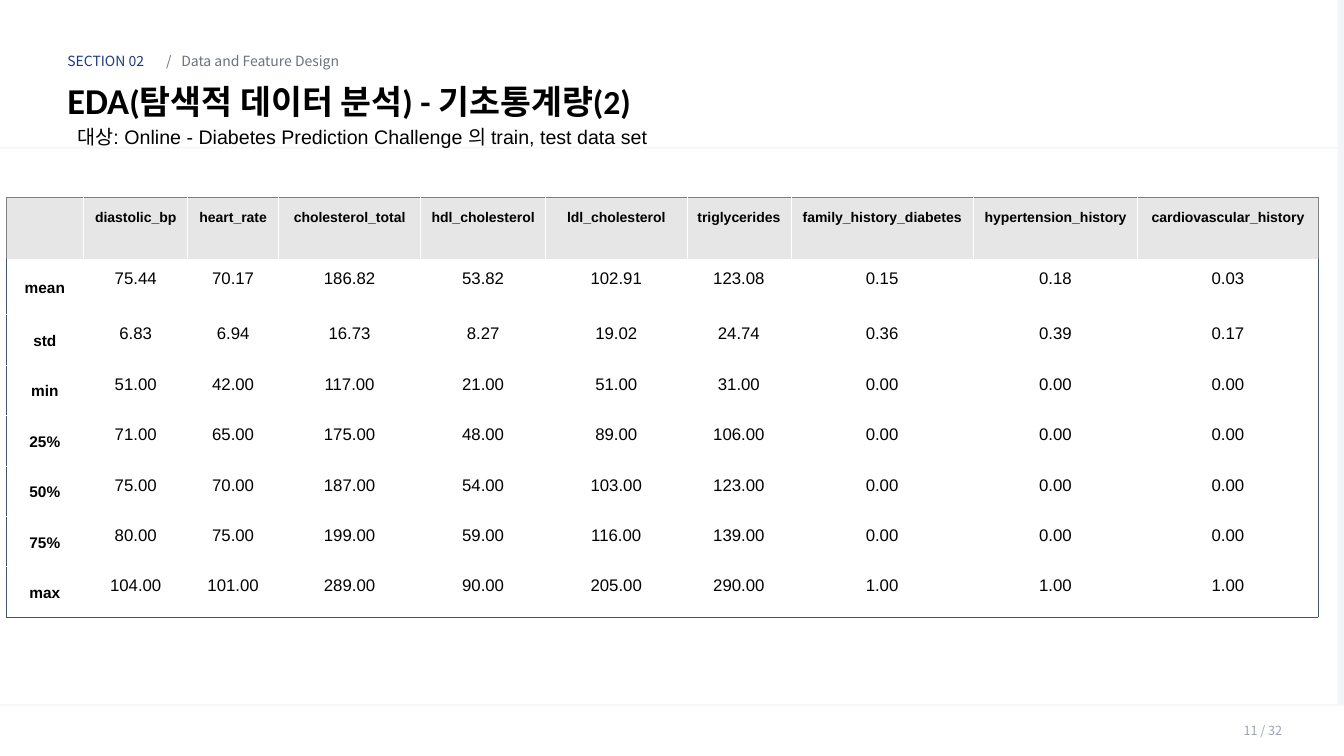
from pptx import Presentation
from pptx import util as u
from pptx.dml.color import RGBColor
from pptx.enum import shapes, text
from pptx.oxml import parse_xml
from pptx.oxml.ns import nsdecls

Cm, Pt = u.Cm, u.Pt
PAGE_WIDTH, PAGE_HEIGHT = 33.87, 19.05
WHITE, BLACK, PALE, MUTED = "FFFFFF", "000000", "F3F4F6", "6B7280"
HEADER_FILL, HEADER_EDGE, BODY_EDGE = "E7E6E6", "808080", "44546A"
SANS = "Noto Sans CJK KR"

COLUMNS = [  # name, width, then mean, std, min, 25%, 50%, 75%, max
    ("diastolic_bp", 2.62, "75.44 6.83 51.00 71.00 75.00 80.00 104.00"),
    ("heart_rate", 2.29, "70.17 6.94 42.00 65.00 70.00 75.00 101.00"),
    ("cholesterol_total", 3.58, "186.82 16.73 117.00 175.00 187.00 199.00 289.00"),
    ("hdl_cholesterol", 3.15, "53.82 8.27 21.00 48.00 54.00 59.00 90.00"),
    ("ldl_cholesterol", 3.56, "102.91 19.02 51.00 89.00 103.00 116.00 205.00"),
    ("triglycerides", 2.62, "123.08 24.74 31.00 106.00 123.00 139.00 290.00"),
    ("family_history_diabetes", 4.6, "0.15 0.36 0.00 0.00 0.00 0.00 1.00"),
    ("hypertension_history", 4.14, "0.18 0.39 0.00 0.00 0.00 0.00 1.00"),
    ("cardiovascular_history", 4.55, "0.03 0.17 0.00 0.00 0.00 0.00 1.00"),
]
STATISTICS = ["mean", "std", "min", "25%", "50%", "75%", "max"]
LABEL_WIDTH = 1.96
ROW_HEIGHTS = [1.55, 1.4] + [1.27] * 6


def colour(value):
    return RGBColor.from_string(value)


def add_block(page, box, fill):
    block = page.shapes.add_shape(shapes.MSO_SHAPE.RECTANGLE, *map(Cm, box))
    block.shadow.inherit = False
    block.fill.solid()
    block.fill.fore_color.rgb = colour(fill)
    block.line.fill.background()


def add_span(para, words, size, font=SANS, ink=BLACK, bold=False):
    span = para.add_run()
    span.text = words
    span.font.size = Pt(size)
    span.font.name = font
    span.font.bold = bold
    span.font.color.rgb = colour(ink)


def add_label(page, box, *spans, inset=0, anchor=text.MSO_ANCHOR.MIDDLE):
    """Add one line of text; each span is (words, format)."""
    frame = page.shapes.add_textbox(*map(Cm, box)).text_frame
    frame.word_wrap = True
    frame.vertical_anchor = anchor
    frame.margin_left = frame.margin_right = Cm(inset)
    frame.margin_top = frame.margin_bottom = Cm(inset)
    for words, style in spans:
        add_span(frame.paragraphs[0], words, **style)


def add_background(page, box):
    left, top, width, height = box
    add_block(page, box, PALE)
    add_block(page, (left, top, width - 0.16, height), WHITE)


def add_heading(page, box):
    left, top, width, height = box
    margin = left + 1.7
    add_block(page, (left, top + height, width, 0.03), PALE)
    crumbs = [(0, 2.59, "SECTION 02", "1E3A8A"), (2.49, 0.46, "/", MUTED),
              (2.87, 4.65, "Data and Feature Design", MUTED)]
    for offset, extent, words, ink in crumbs:
        add_label(page, (margin + offset, top + 1.27, extent, 0.53),
                  (words, {"size": 10, "ink": ink}))
    title = {"font": "Calibri", "bold": True}
    add_label(page, (margin, top + 1.85, 19.69, 1.35),
              ("EDA", {"size": 26, **title}),
              ("(탐색적 데이터 분석) - 기초통계량(2)", {"size": 24, **title}))
    add_label(page, (margin, top + 2.9, 24.59, 0.97),
              ("대상: Online - Diabetes Prediction Challenge 의 train, test data set",
               {"size": 14, "font": "Arial"}),
              inset=0.25, anchor=text.MSO_ANCHOR.TOP)


def add_footer(page, box):
    left, top, width, height = box
    add_block(page, box, WHITE)
    add_block(page, (left, top, width, 0.03), PALE)
    add_label(page, (left + width - 2.53, top + 0.43, 1.1, 0.46),
              ("11 / 32", {"size": 9, "ink": "9CA3AF"}))


def set_borders(cell, edges):
    """Draw the four cell borders; edges maps L, R, T and B to colours."""
    properties = cell._tc.get_or_add_tcPr()
    for side, ink in edges.items():
        properties.append(parse_xml(
            f'<a:ln{side} {nsdecls("a")} w="{Pt(0.47)}"><a:solidFill>'
            f'<a:srgbClr val="{ink}"/></a:solidFill></a:ln{side}>'))


def fill_cell(cell, words, is_header, is_label):
    cell.fill.solid()
    cell.fill.fore_color.rgb = colour(HEADER_FILL if is_header else WHITE)
    cell.margin_left = cell.margin_right = Cm(0.25)
    cell.margin_top = cell.margin_bottom = Cm(0.25)
    if is_label and not is_header:
        cell.vertical_anchor = text.MSO_ANCHOR.MIDDLE
    if not words:
        return
    para = cell.text_frame.paragraphs[0]
    para.alignment = text.PP_ALIGN.CENTER
    bold = is_header or is_label
    if bold:
        para.line_spacing = 1.15
    size = 10 if is_header else 11 if is_label else 12
    add_span(para, words, size, font="Arial", bold=bold)


def add_statistics(page, box):
    names, widths, values = zip(*COLUMNS)
    body = zip(STATISTICS, *(column.split() for column in values))
    rows = [("", *names), *body]
    last_row, last_column = len(rows) - 1, len(names)
    table = page.shapes.add_table(len(rows), last_column + 1, *map(Cm, box)).table
    table.first_row = table.horz_banding = False
    for column, width in zip(table.columns, (LABEL_WIDTH, *widths)):
        column.width = Cm(width)
    for row, height in zip(table.rows, ROW_HEIGHTS):
        row.height = Cm(height)
    for r, row in enumerate(rows):
        edge = BODY_EDGE if r else HEADER_EDGE
        for c, words in enumerate(row):
            cell = table.cell(r, c)
            outer = {"L": c == 0, "R": c == last_column,
                     "T": r == 0, "B": r == last_row}
            set_borders(cell, {side: edge if is_outer else WHITE
                               for side, is_outer in outer.items()})
            fill_cell(cell, words, r == 0, c == 0)


def main():
    deck = Presentation()
    deck.slide_width, deck.slide_height = Cm(PAGE_WIDTH), Cm(PAGE_HEIGHT)
    page = deck.slides.add_slide(deck.slide_layouts[6])
    add_background(page, (0, 0, PAGE_WIDTH, PAGE_HEIGHT))
    add_heading(page, (0, 0, PAGE_WIDTH, 3.71))
    add_footer(page, (0, 17.75, PAGE_WIDTH, 1.3))
    table_width = LABEL_WIDTH + sum(width for _, width, _ in COLUMNS)
    add_statistics(page, (0.15, 4.98, table_width, sum(ROW_HEIGHTS)))
    deck.save("out.pptx")


if __name__ == "__main__":
    main()
